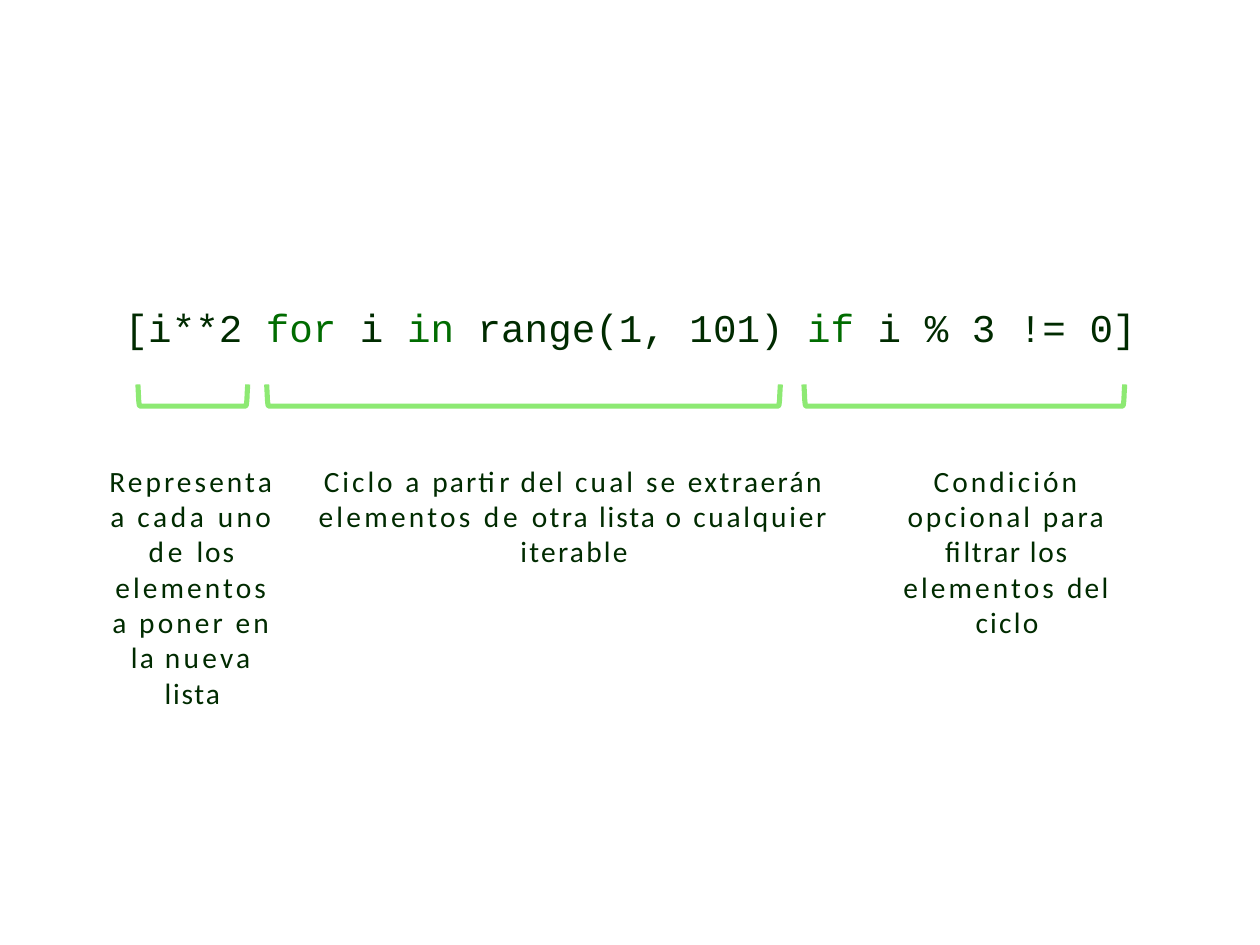
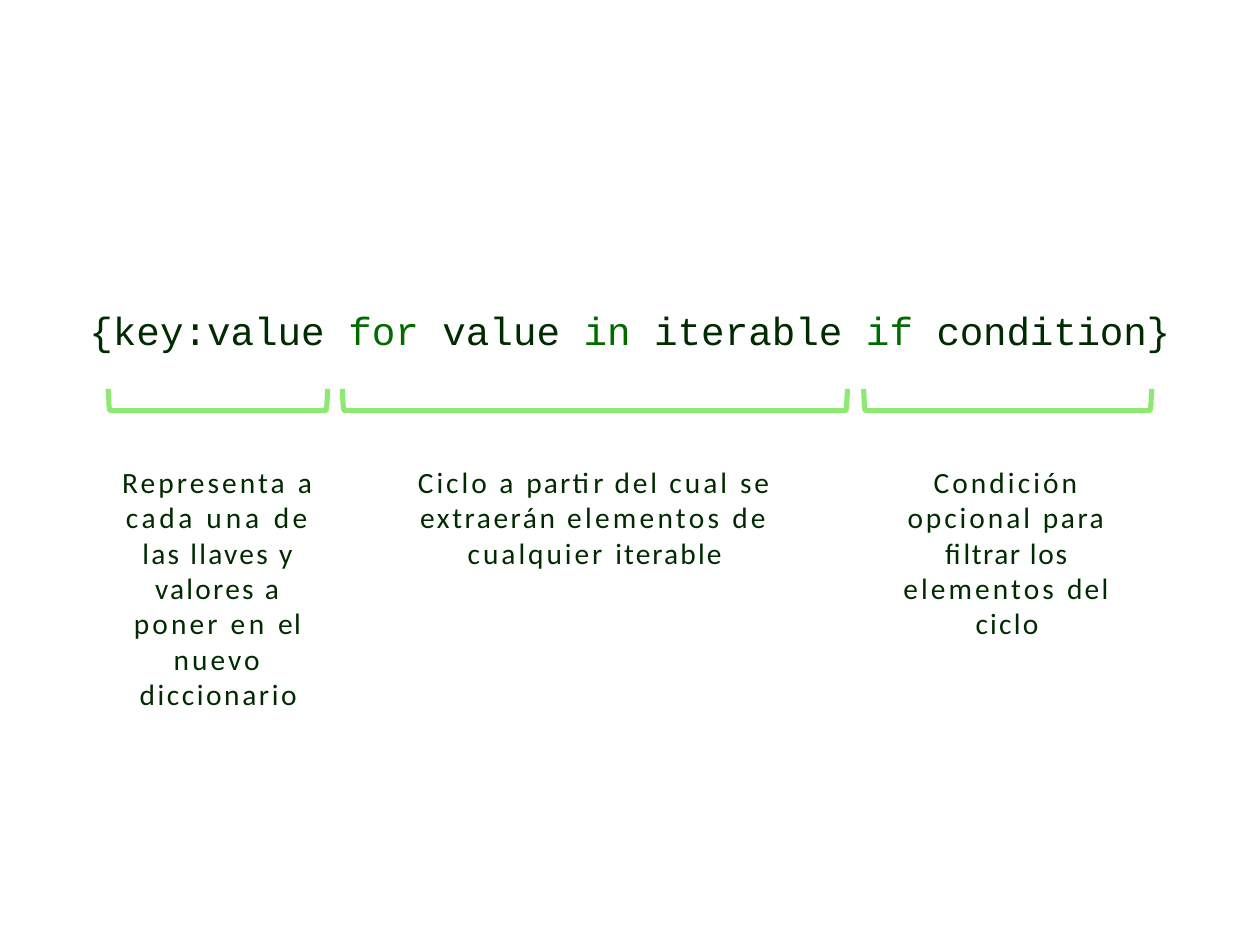
from pptx import Presentation
from pptx.dml.color import RGBColor
from pptx.enum.text import PP_ALIGN
from pptx.util import Pt

TEXT_COLOR = "002B00"
KEYWORD_COLOR = "006C00"
BRACKET_COLOR = "8DE973"
KEYWORDS = {"for", "in", "if"}

# Half of a bracket: distance from its side and from its top, in points.
BRACKET_CURVE = [(0, 0), (0.3, 5.3), (0.5, 9.6), (0.8, 12.5), (1.3, 13.3)]

# Every text is a list of (words, letter spacing in points).
CONDITION = [("Condición ", 1.9), ("opcional ", 1.8), ("para ", 1.6), ("filtrar ", 0.9),
             ("los ", 1.1), ("elementos ", 1.9), ("del ciclo", 1.4)]

LIST_COMPREHENSION = {
    "code": [("[i**2 ", 0), ("for ", 0), ("i ", 0), ("in ", 0), ("range(1, 101) ", 0),
             ("if ", 0), ("i % 3 != ", 0), ("0]", -0.2)],
    "code_box": (76.3, 184.5, 620.6),
    "bracket_top": 235.2,
    "brackets": [(84.4, 151.6), (163.2, 477.6), (492, 688.3)],
    "caption_top": 282.2,
    "captions": [
        (64.8, 105.8, [("Representa a ", 1.9), ("cada ", 2.2), ("uno ", 2), ("de ", 2.3),
                       ("los ", 1.1), ("elementos a poner en ", 1.9), ("la ", 1.3),
                       ("nueva ", 2), ("lista", 1.1)]),
        (194.4, 313.9, [("Ciclo ", 1.8), ("a ", 1.9), ("partir ", 1.3), ("del ", 1.7),
                        ("cual ", 1.9), ("se ", 1.8), ("extraerán ", 1.5),
                        ("elementos ", 2), ("de ", 2.3), ("otra ", 1.4), ("lista ", 1.2),
                        ("o cualquier ", 1.7), ("iterable", 1.4)]),
        (550.8, 131, CONDITION),
    ],
}

DICT_COMPREHENSION = {
    "code": [("{key:value ", 0), ("for ", 0), ("value ", 0), ("in ", 0), ("iterable ", 0),
             ("if ", 0), ("condition}", -0.1)],
    "code_box": (54.7, 186.5, 663.8),
    "bracket_top": 237.9,
    "brackets": [(66.2, 200.6), (209.5, 518.7), (528.5, 704.9)],
    "caption_top": 283,
    "captions": [
        (72.7, 121.7, [("Representa ", 1.9), ("a ", 1.4), ("cada ", 2.2), ("una ", 2.4),
                       ("de ", 2), ("las llaves ", 1.4), ("y ", 1), ("valores a ", 1.4),
                       ("poner ", 1.9), ("en ", 2.2), ("el ", 0.9), ("nuevo ", 1.9),
                       ("diccionario", 1.6)]),
        (255.6, 216.7, [("Ciclo ", 1.8), ("a ", 1.9), ("partir ", 1.3), ("del ", 1.7),
                        ("cual ", 1.9), ("se extraerán ", 1.6), ("elementos de ", 2),
                        ("cualquier ", 1.8), ("iterable", 1.3)]),
        (550.8, 131, CONDITION),
    ],
}


def color(hex_code):
    return RGBColor.from_string(hex_code)


def add_text(slide, left, top, width, height, words, font, size, align, wrap=True):
    box = slide.shapes.add_textbox(Pt(left), Pt(top), Pt(width), Pt(height))
    frame = box.text_frame
    frame.word_wrap = wrap
    frame.margin_left = frame.margin_right = frame.margin_bottom = 0
    frame.margin_top = Pt(1)
    paragraph = frame.paragraphs[0]
    paragraph.alignment = align
    paragraph.space_before = Pt(1)
    for text, spacing in words:
        run = paragraph.add_run()
        run.text = text
        run.font.name = font
        run.font.size = Pt(size)
        run.font.color.rgb = color(TEXT_COLOR)
        if spacing:
            run.font._element.set("spc", str(round(spacing * 100)))
    return paragraph


def add_code(slide, left, top, width, words):
    paragraph = add_text(slide, left, top, width, 31, words, "Courier New", 24,
                         PP_ALIGN.LEFT, wrap=False)
    for run in paragraph.runs:
        if run.text.strip() in KEYWORDS:
            run.font.color.rgb = color(KEYWORD_COLOR)


def add_bracket(slide, left, right, top):
    right_half = [(right - dx, top + dy) for dx, dy in BRACKET_CURVE]
    left_half = [(left + dx, top + dy) for dx, dy in reversed(BRACKET_CURVE)]
    start, *others = [(Pt(x), Pt(y)) for x, y in right_half + left_half]
    outline = slide.shapes.build_freeform(*start)
    outline.add_line_segments(others, close=False)
    bracket = outline.convert_to_shape()
    bracket.shadow.inherit = False
    bracket.fill.background()
    bracket.line.color.rgb = color(BRACKET_COLOR)
    bracket.line.width = Pt(3.12)


def add_comprehension_slide(presentation, content):
    slide = presentation.slides.add_slide(presentation.slide_layouts[6])
    add_code(slide, *content["code_box"], content["code"])
    for left, right in content["brackets"]:
        add_bracket(slide, left, right, content["bracket_top"])
    for left, width, words in content["captions"]:
        add_text(slide, left, content["caption_top"], width, 110, words, "Calibri", 18,
                 PP_ALIGN.CENTER)


def main():
    presentation = Presentation()
    presentation.slide_width = Pt(771.12)
    presentation.slide_height = Pt(578.16)
    for content in (LIST_COMPREHENSION, DICT_COMPREHENSION):
        add_comprehension_slide(presentation, content)
    presentation.save("out.pptx")


if __name__ == "__main__":
    main()
